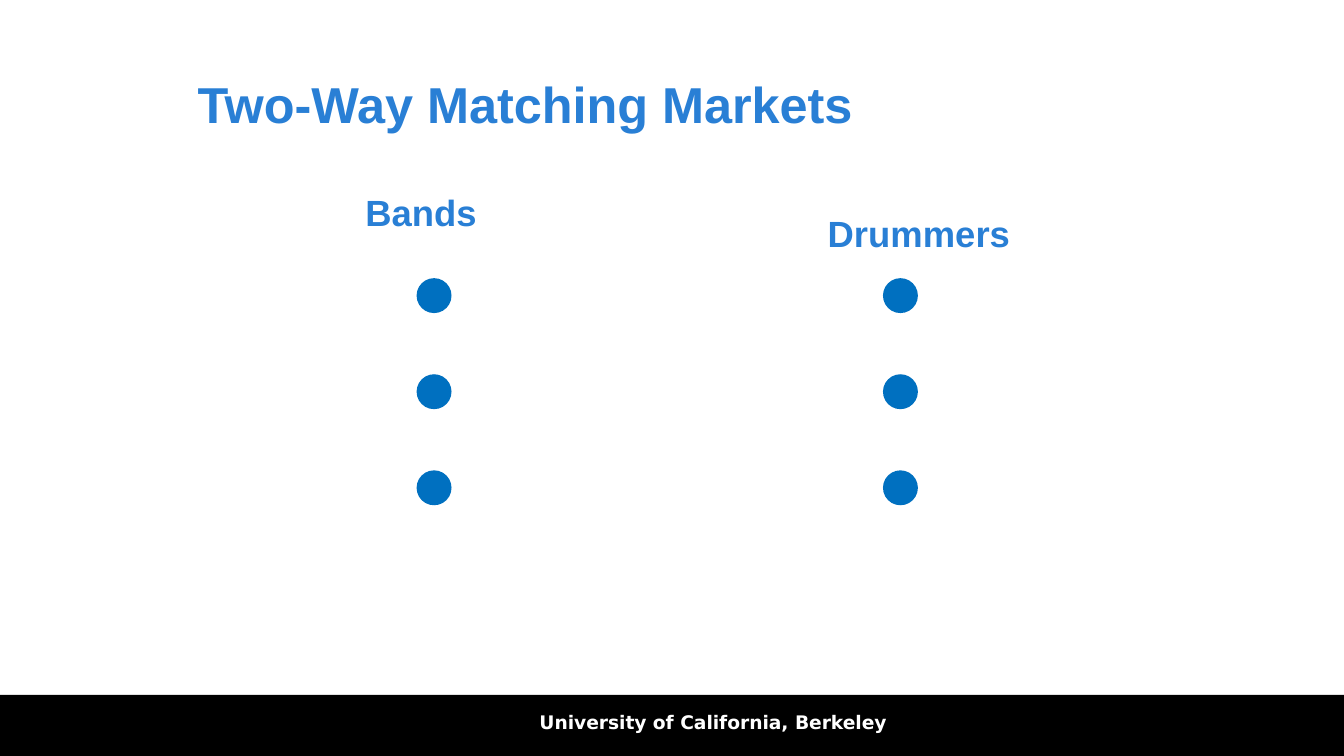
from pptx import Presentation
from pptx.dml.color import RGBColor
from pptx.enum.shapes import MSO_SHAPE
from pptx.enum.text import MSO_ANCHOR, PP_ALIGN
from pptx.util import Inches, Pt

TITLE = "Two-Way Matching Markets"
FOOTER = "University of California, Berkeley"
HEADING, DOT, BLACK, WHITE = "297FD5", "0070C0", "000000", "FFFFFF"
SIDES = [
    {"name": "Bands", "box": (2.62, 1.37, 1.46, 0.41), "dot_left": 3.1},
    {"name": "Drummers", "box": (6.06, 1.53, 1.73, 0.41), "dot_left": 6.57},
]
DOT_COUNT, DOT_TOP, DOT_BOTTOM, DOT_SIZE = 3, 2.07, 3.5, 0.26
DOT_STEP = (DOT_BOTTOM - DOT_TOP) / (DOT_COUNT - 1)


def color(value):
    return RGBColor.from_string(value)


def inches(box):
    return [Inches(length) for length in box]


def write(shape, text, size, font, fill, align=PP_ALIGN.LEFT, anchor=MSO_ANCHOR.MIDDLE):
    frame = shape.text_frame
    frame.text = text
    frame.word_wrap = True
    frame.vertical_anchor = anchor
    paragraph = frame.paragraphs[0]
    paragraph.alignment = align
    style = paragraph.runs[0].font
    style.name, style.size, style.bold = font, Pt(size), True
    style.color.rgb = color(fill)


def add_solid(slide, kind, box, fill):
    shape = slide.shapes.add_shape(kind, *inches(box))
    shape.shadow.inherit = False
    shape.fill.solid()
    shape.fill.fore_color.rgb = color(fill)
    shape.line.fill.background()


def main():
    """Build the matching markets slide."""
    presentation = Presentation()
    presentation.slide_width = Inches(10)
    presentation.slide_height = Inches(10 * 9 / 16)
    slide = presentation.slides.add_slide(presentation.slide_layouts[5])
    add_solid(slide, MSO_SHAPE.RECTANGLE, (0, 5.17, 10, 0.47), BLACK)

    title = slide.shapes.title
    title.left, title.top, title.width, title.height = inches((1.37, 0.3, 7.52, 0.94))
    write(title, TITLE, 27, "Arial", HEADING)

    footer = slide.shapes.add_textbox(*inches((2.14, 5.24, 6.33, 0.35)))
    write(footer, FOOTER, 10, "DejaVu Sans", WHITE, PP_ALIGN.CENTER, MSO_ANCHOR.TOP)

    for side in SIDES:
        label = slide.shapes.add_textbox(*inches(side["box"]))
        write(label, side["name"], 19.5, "Arial", HEADING)
        for row in range(DOT_COUNT):
            top = DOT_TOP + row * DOT_STEP
            add_solid(slide, MSO_SHAPE.OVAL, (side["dot_left"], top, DOT_SIZE, DOT_SIZE), DOT)

    presentation.save("out.pptx")


if __name__ == "__main__":
    main()
